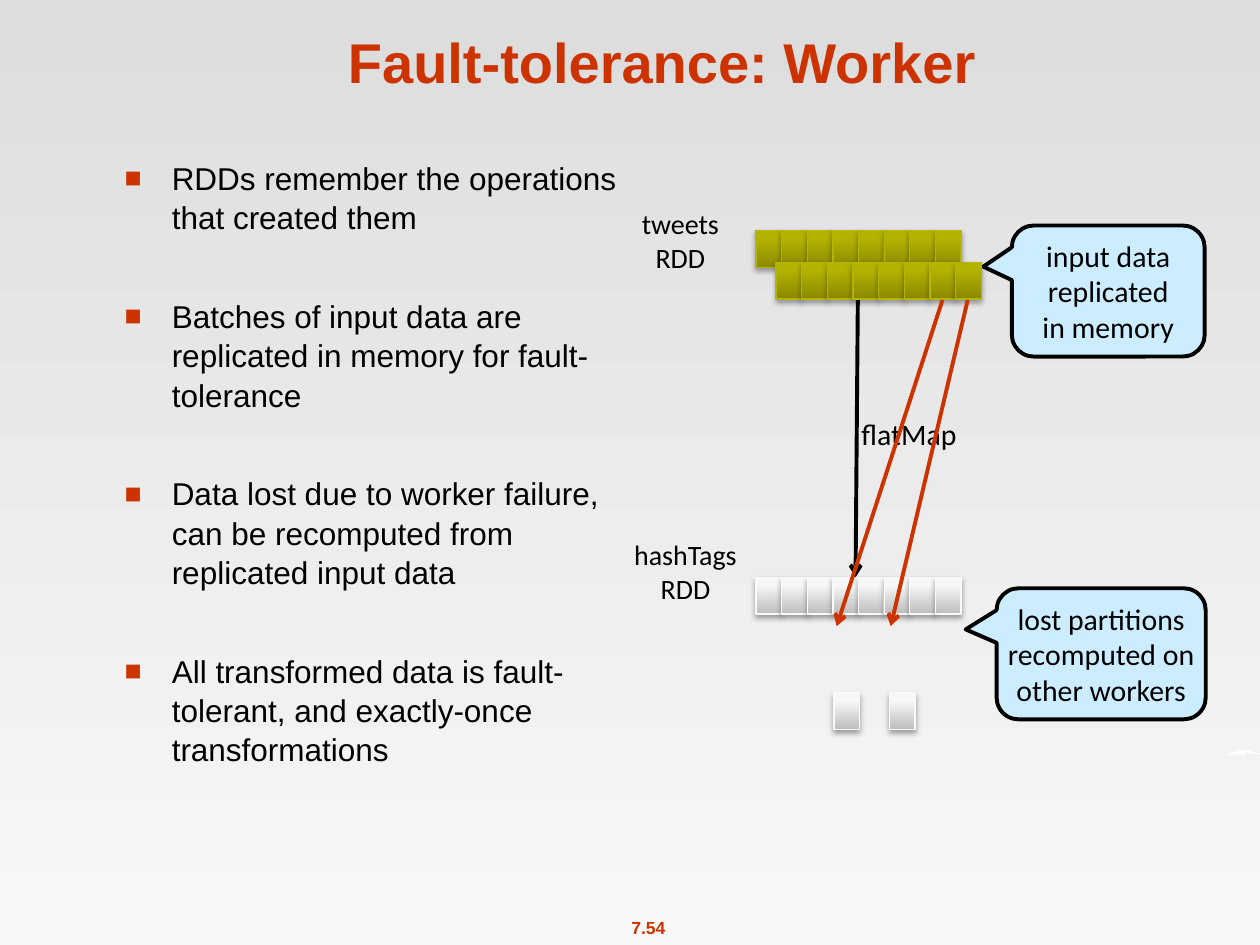
"""Build the worker fault-tolerance slide."""
from dataclasses import dataclass

from lxml.etree import SubElement
from pptx import Presentation
from pptx.dml.color import RGBColor
from pptx.enum.shapes import MSO_CONNECTOR, MSO_SHAPE
from pptx.enum.text import MSO_ANCHOR, PP_ALIGN
from pptx.oxml.ns import qn
from pptx.util import Pt


@dataclass(frozen=True)
class Theme:
    accent: str = "CC3300"
    black: str = "000000"
    white: str = "FFFFFF"
    callout: str = "CCECFF"
    background: tuple = ("DDDDDD", "F8F8F8")
    olive: tuple = ("8A8A00", "B3B300", "B5B500")
    grey: tuple = ("BEBEBE", "F7F7F7", "F9F9F9")
    heading: str = "Arial"
    label: str = "Calibri"
    title_size: float = 32
    body_size: float = 18
    note_size: float = 17
    label_size: float = 16
    number_size: float = 10


THEME = Theme()
CELL_PITCH, CELL_HEIGHT = 14.65, 21

BULLETS = (
    "RDDs remember the operations that created them",
    "Batches of input data are replicated in memory for fault-tolerance",
    "Data lost due to worker failure, can be recomputed from replicated input data",
    "All transformed data is fault-tolerant, and exactly-once transformations",
)
SWOOSH = (
    (702, 432.7), (702.7, 430.6), (704.9, 429.5), (707.8, 428.7),
    (710.6, 428.4), (715, 429.5), (719.9, 430.6), (719.2, 431.3),
    (716, 430.6), (711.4, 429.9), (711.4, 432), (709.2, 429.9),
    (709.2, 432), (707, 429.9), (707.5, 432), (705.6, 430.6),
    (703.8, 431.2),
)


def rgb(value):
    return RGBColor.from_string(value)


def set_gradient(fill, colors, angle, end=1):
    fill.gradient()
    fill.gradient_angle = angle
    for stop, color, position in zip(fill.gradient_stops, colors, (0, end)):
        stop.color.rgb = rgb(color)
        stop.position = position


def write(sp, lines, font, size, color=THEME.black, bold=False,
          align=PP_ALIGN.CENTER, anchor=MSO_ANCHOR.TOP, insets=(7.2, 3.6), wrap=True):
    tf = sp.text_frame
    tf.word_wrap = wrap
    tf.vertical_anchor = anchor
    tf.margin_left = tf.margin_right = Pt(insets[0])
    tf.margin_top = tf.margin_bottom = Pt(insets[1])
    for i, line in enumerate(lines):
        p = tf.add_paragraph() if i else tf.paragraphs[0]
        p.alignment = align
        r = p.add_run()
        r.text = line
        r.font.name, r.font.size, r.font.bold = font, Pt(size), bold
        r.font.color.rgb = rgb(color)
    return tf


def add_text(s, box, lines, font, size, **style):
    return write(s.shapes.add_textbox(*map(Pt, box)), lines, font, size, **style)


def add_bullets(s, box, items):
    tf = add_text(s, box, items, THEME.heading, THEME.body_size, align=PP_ALIGN.LEFT)
    for i, p in enumerate(tf.paragraphs):
        p.line_spacing = 1.04
        if i:
            p.space_before = Pt(34)
        ppr = p._p.get_or_add_pPr()
        ppr.set("marL", str(Pt(27)))
        ppr.set("indent", str(-Pt(27)))
        SubElement(SubElement(ppr, qn("a:buClr")), qn("a:srgbClr"), val=THEME.accent)
        SubElement(ppr, qn("a:buSzPct"), val="90000")
        SubElement(ppr, qn("a:buFont"), typeface=THEME.heading)
        SubElement(ppr, qn("a:buChar"), char="■")


def add_cell(s, left, top, colors):
    sp = s.shapes.add_shape(MSO_SHAPE.RECTANGLE, Pt(left), Pt(top),
                            Pt(CELL_PITCH), Pt(CELL_HEIGHT))
    set_gradient(sp.fill, colors[:2], 90, 0.8)
    sp.line.color.rgb = rgb(colors[2])
    sp.line.width = Pt(0.75)
    effects = SubElement(sp._element.spPr, qn("a:effectLst"))
    shadow = SubElement(effects, qn("a:outerShdw"), blurRad=str(Pt(3.1)),
                        dist=str(Pt(1.8)), dir="5400000", rotWithShape="0")
    color = SubElement(shadow, qn("a:srgbClr"), val=THEME.black)
    SubElement(color, qn("a:alpha"), val="35000")


def add_partitions(s, left, top, colors, count=8):
    for i in range(count):
        add_cell(s, left + i * CELL_PITCH, top, colors)


def add_arrow(s, start, end, color):
    line = s.shapes.add_connector(MSO_CONNECTOR.STRAIGHT, *map(Pt, start + end))
    line.line.color.rgb = rgb(color)
    line.line.width = Pt(2.25)
    SubElement(line.line._get_or_add_ln(), qn("a:tailEnd"), type="arrow")
    SubElement(line._element.spPr, qn("a:effectLst"))


def add_callout(s, box, lines):
    sp = s.shapes.add_shape(MSO_SHAPE.ROUNDED_RECTANGULAR_CALLOUT, *map(Pt, box))
    for i, value in enumerate((-0.648, -0.186, 0.167)):
        sp.adjustments[i] = value
    sp.shadow.inherit = False
    sp.fill.solid()
    sp.fill.fore_color.rgb = rgb(THEME.callout)
    sp.line.color.rgb = rgb(THEME.black)
    sp.line.width = Pt(2.25)
    write(sp, lines, THEME.label, THEME.note_size,
          anchor=MSO_ANCHOR.MIDDLE, insets=(0, 1.4))


def add_swoosh(s, points):
    builder = s.shapes.build_freeform(Pt(points[0][0]), Pt(points[0][1]))
    builder.add_line_segments([(Pt(x), Pt(y)) for x, y in points[1:]])
    sp = builder.convert_to_shape()
    sp.shadow.inherit = False
    sp.fill.solid()
    sp.fill.fore_color.rgb = rgb(THEME.white)
    sp.line.fill.background()


def main():
    prs = Presentation()
    prs.slide_width, prs.slide_height = Pt(720), Pt(540)
    s = prs.slides.add_slide(prs.slide_layouts[6])
    set_gradient(s.background.fill, THEME.background, 270)

    add_text(s, (352.8, 520.6, 35.3, 19.4), ["7.54"], THEME.heading,
             THEME.number_size, color=THEME.accent, bold=True, wrap=False)
    add_swoosh(s, SWOOSH)
    add_text(s, (60.5, 9.4, 635.8, 48.2), ["Fault-tolerance: Worker"], THEME.heading,
             THEME.title_size, color=THEME.accent, bold=True, anchor=MSO_ANCHOR.BOTTOM)
    add_bullets(s, (64.1, 86.4, 299.5, 386), BULLETS)

    add_callout(s, (578.2, 128.9, 110.2, 74.9), ["input data replicated", "in memory"])
    add_text(s, (465.8, 237.6, 107.3, 20.9), ["flatMap"], THEME.label,
             THEME.note_size, insets=(2.9, 0))
    add_arrow(s, (490.3, 160.6), (488.9, 329.8), THEME.black)

    add_partitions(s, 432, 131.8, THEME.olive)
    for left in (476.6, 508.3):
        add_cell(s, left, 396, THEME.grey)
    add_partitions(s, 443.5, 149.8, THEME.olive)
    add_partitions(s, 432, 329.8, THEME.grey)
    for start, end in ((538.6, 478.1), (553, 509)):
        add_arrow(s, (start, 171.4), (end, 357.8), THEME.accent)

    add_callout(s, (569.5, 336.2, 119.5, 74.9),
                ["lost partitions recomputed on other workers"])
    for left, top, name in ((348.5, 116.6, "tweets"), (351.4, 306, "hashTags")):
        add_text(s, (left, top, 80.6, 46.8), [name, "RDD"], THEME.label,
                 THEME.label_size, insets=(2.9, 1.4))
    prs.save("out.pptx")


if __name__ == "__main__":
    main()
